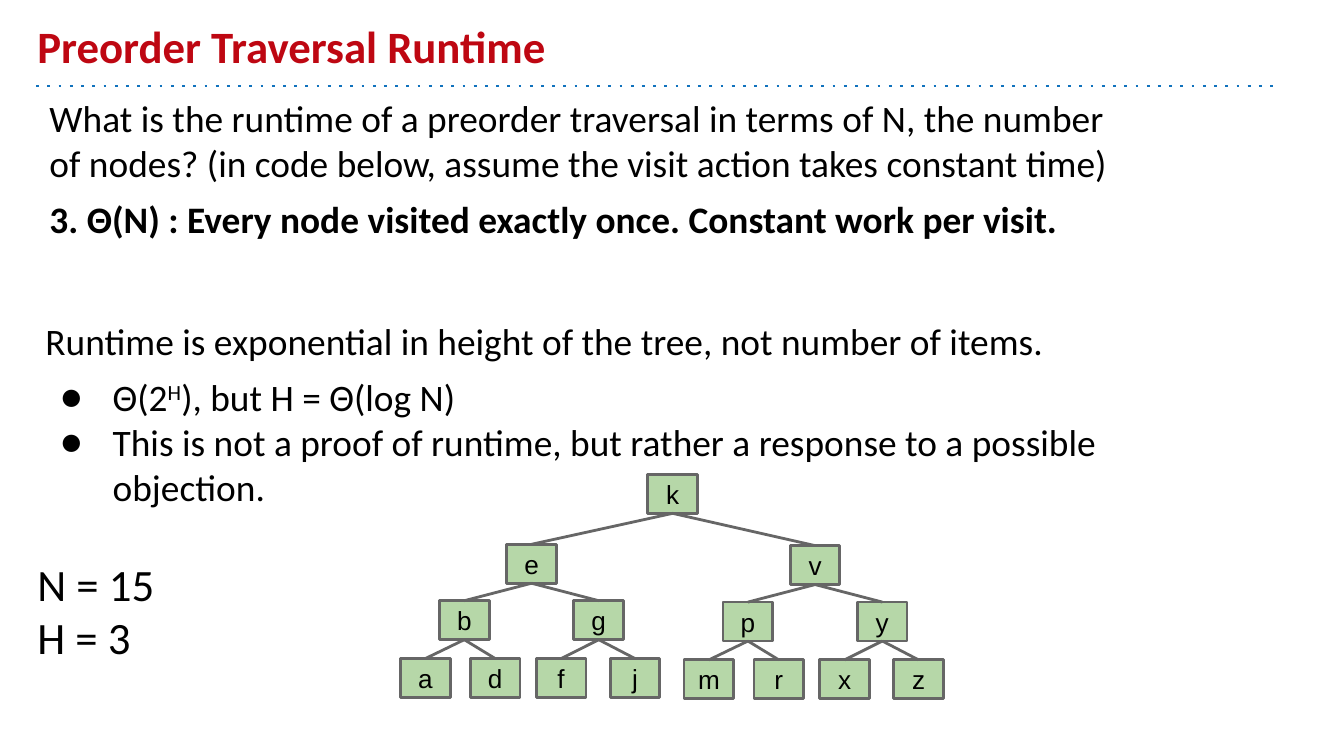
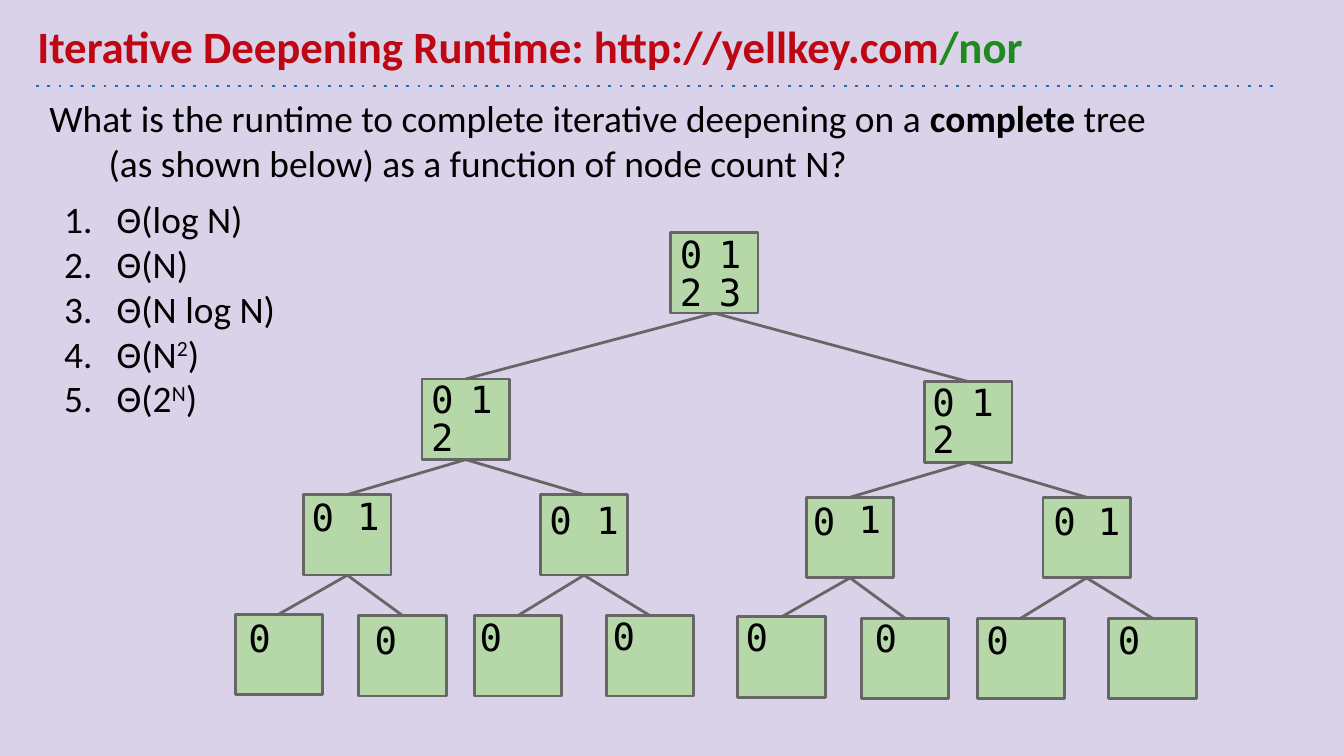
from lxml.etree import SubElement
from pptx import Presentation
from pptx.dml.color import RGBColor
from pptx.enum.dml import MSO_LINE
from pptx.enum.shapes import MSO_CONNECTOR, MSO_SHAPE
from pptx.enum.text import MSO_ANCHOR as ANCHOR, PP_ALIGN as ALIGN
from pptx.oxml.ns import qn
from pptx.util import Inches, Pt

BLACK = RGBColor(0x00, 0x00, 0x00)
WHITE = RGBColor(0xFF, 0xFF, 0xFF)
LAVENDER = RGBColor(0xD9, 0xD2, 0xE9)
RED = RGBColor(0xBE, 0x07, 0x12)
LINK_GREEN = RGBColor(0x20, 0x89, 0x20)
RULE_BLUE = RGBColor(0x10, 0x72, 0xBD)
NODE_GREEN = RGBColor(0xB6, 0xD7, 0xA8)
GRAY = RGBColor(0x66, 0x66, 0x66)

TITLE = {"name": "Calibri", "size": Pt(24), "bold": True, "color": RED}
BODY = {"name": "Calibri", "size": Pt(20), "color": BLACK}
LARGE = {**BODY, "size": Pt(24)}
LETTER = {"name": "Arial", "size": Pt(14), "color": BLACK}
DIGIT = {"name": "DejaVu Sans Mono", "size": Pt(20), "color": BLACK}
BOLD = {"bold": True}
SUPER = {"baseline": "30000"}
HANGING = {"left": 0.44, "first": -0.44}
DOT = {"left": 0.5, "first": -0.39, "bullet": ("a:buChar", "char", "●")}
NUMBER = {"left": 0.5, "first": -0.39, "bullet": ("a:buAutoNum", "type", "arabicPeriod")}


def write(tf, paragraphs, base, anchor=ANCHOR.TOP, align=ALIGN.LEFT):
    tf.word_wrap = True
    tf.vertical_anchor = anchor
    for side in ("left", "right", "top", "bottom"):
        setattr(tf, f"margin_{side}", Inches(0.1))
    for i, (runs, layout) in enumerate(paragraphs):
        p = tf.add_paragraph() if i else tf.paragraphs[0]
        p.alignment = align
        p.space_before = Pt(layout.get("before", 0))
        pPr = p._p.get_or_add_pPr()
        if "left" in layout:
            pPr.set("marL", str(Inches(layout["left"])))
            pPr.set("indent", str(Inches(layout["first"])))
        if "bullet" in layout:
            tag, key, value = layout["bullet"]
            color = SubElement(pPr, qn("a:buClr"))
            SubElement(color, qn("a:srgbClr")).set("val", str(BLACK))
            SubElement(pPr, qn("a:buFont")).set("typeface", "Calibri")
            SubElement(pPr, qn(tag)).set(key, value)
        for text, extra in runs:
            for n, piece in enumerate(text.split("\n")):
                if n:
                    p.add_line_break()
                r = p.add_run()
                r.text = piece
                for key, value in {**base, **extra}.items():
                    if key == "color":
                        r.font.color.rgb = value
                    elif key == "baseline":
                        r._r.get_or_add_rPr().set(key, value)
                    else:
                        setattr(r.font, key, value)


def add_line(s, x1, y1, x2, y2, color):
    c = s.shapes.add_connector(MSO_CONNECTOR.STRAIGHT, *map(Inches, (x1, y1, x2, y2)))
    c.line.color.rgb = color
    c.line.width = Pt(1.5)
    SubElement(c._element.spPr, qn("a:effectLst"))
    return c


preorder = {
    "background": WHITE,
    "title": [("Preorder Traversal Runtime", {})],
    "texts": [
        ((0.27, 0.61, 9.34, 1.53), BODY, [
            ([("What is the runtime of a preorder traversal in terms of N, the number\n"
               "of nodes? (in code below, assume the visit action takes constant time)", {})], {}),
            ([("3. Θ(N) : Every node visited exactly once. Constant work per visit.", BOLD)], {"before": 6}),
        ]),
        ((0.24, 2.27, 9.23, 1.4), BODY, [
            ([("Runtime is exponential in height of the tree, not number of items.", {})], {}),
            ([("Θ(2", {}), ("H", SUPER), ("), but H = Θ(log N)", {})], {**DOT, "before": 6}),
            ([("This is not a proof of runtime, but rather a response to a possible\nobjection.", {})], DOT),
        ]),
        ((0.18, 4.04, 2.02, 1.25), LARGE, [([("N = 15", {})], {}), ([("H = 3", {})], {})]),
    ],
    "node": (0.37, 0.29),
    "root": (4.82, 3.53),
    "left": [(3.77, 4.05), (3.27, 4.47), (4.27, 4.47),
             (2.98, 4.9), (3.5, 4.9), (3.99, 4.9), (4.54, 4.9)],
    "shift": (2.11, 0.01),
    "letters": "kevbgpyadfjmrxz",
    "digits": {},
}

deepening = {
    "background": LAVENDER,
    "title": [("Iterative Deepening Runtime: http://yellkey.com", {}), ("/nor", {"color": LINK_GREEN})],
    "texts": [
        ((0.27, 0.61, 9.23, 4.54), BODY, [
            ([("What is the runtime to complete iterative deepening on a ", {}), ("complete", BOLD),
              (" tree\n(as shown below) as a function of node count N?", {})], HANGING),
            ([("Θ(log N)", {})], {**NUMBER, "before": 6}),
            ([("Θ(N)", {})], NUMBER),
            ([("Θ(N log N)", {})], NUMBER),
            ([("Θ(N", {}), ("2", SUPER), (")", {})], NUMBER),
            ([("Θ(2", {}), ("N", SUPER), (")", {})], NUMBER),
        ]),
    ],
    "node": (0.65, 0.6),
    "root": (4.99, 1.73),
    "left": [(3.14, 2.82), (2.26, 3.68), (4.02, 3.68),
             (1.75, 4.57), (2.67, 4.58), (3.53, 4.58), (4.51, 4.58)],
    "shift": (3.74, 0.02),
    "letters": "",
    "digits": {
        "0": [(4.96, 1.62), (3.11, 2.7), (6.84, 2.72),
              (2.22, 3.58), (3.99, 3.6), (5.95, 3.61), (7.74, 3.61),
              (1.75, 4.48), (2.69, 4.49), (3.47, 4.47), (4.46, 4.46),
              (5.45, 4.47), (6.41, 4.48), (7.24, 4.49), (8.22, 4.49)],
        "1": [(5.25, 1.62), (3.4, 2.7), (7.13, 2.72),
              (2.56, 3.57), (4.34, 3.6), (6.29, 3.59), (8.07, 3.61)],
        "2": [(4.96, 1.9), (3.11, 2.98), (6.84, 3)],
        "3": [(5.25, 1.9)],
    },
}

prs = Presentation()
prs.slide_width = Inches(10)
prs.slide_height = prs.slide_width * 9 // 16

for content in (preorder, deepening):
    s = prs.slides.add_slide(prs.slide_layouts[6])
    s.background.fill.solid()
    s.background.fill.fore_color.rgb = content["background"]

    rule = add_line(s, 0.27, 0.64, 9.5, 0.64, RULE_BLUE)
    rule.line.dash_style = MSO_LINE.ROUND_DOT
    rule._element.find(".//" + qn("a:prstDash")).set("val", "dot")
    box = s.shapes.add_textbox(*map(Inches, (0.18, 0.1, 9, 0.54)))
    write(box.text_frame, [(content["title"], {})], TITLE, ANCHOR.BOTTOM)

    for place, base, paragraphs in content["texts"]:
        box = s.shapes.add_textbox(*map(Inches, place))
        write(box.text_frame, paragraphs, base)

    w, h = content["node"]
    dx, dy = content["shift"]
    nodes = [content["root"]]
    for start, end in ((0, 1), (1, 3), (3, 7)):
        level = content["left"][start:end]
        nodes += level + [(x + dx, y + dy) for x, y in level]

    for i, (x, y) in enumerate(nodes):
        sp = s.shapes.add_shape(MSO_SHAPE.RECTANGLE, *map(Inches, (x, y, w, h)))
        sp.shadow.inherit = False
        sp.fill.solid()
        sp.fill.fore_color.rgb = NODE_GREEN
        sp.line.color.rgb = GRAY
        sp.line.width = Pt(1.5)
        if content["letters"]:
            write(sp.text_frame, [([(content["letters"][i], {})], {})], LETTER, ANCHOR.MIDDLE, ALIGN.CENTER)
        if i:
            px, py = nodes[(i - 1) // 2]
            add_line(s, px + w / 2, py + h, x + w / 2, y, GRAY)

    for digit, places in content["digits"].items():
        for x, y in places:
            box = s.shapes.add_textbox(*map(Inches, (x, y, 0.44, 0.36)))
            write(box.text_frame, [([(digit, {})], {})], DIGIT)

prs.save("out.pptx")
